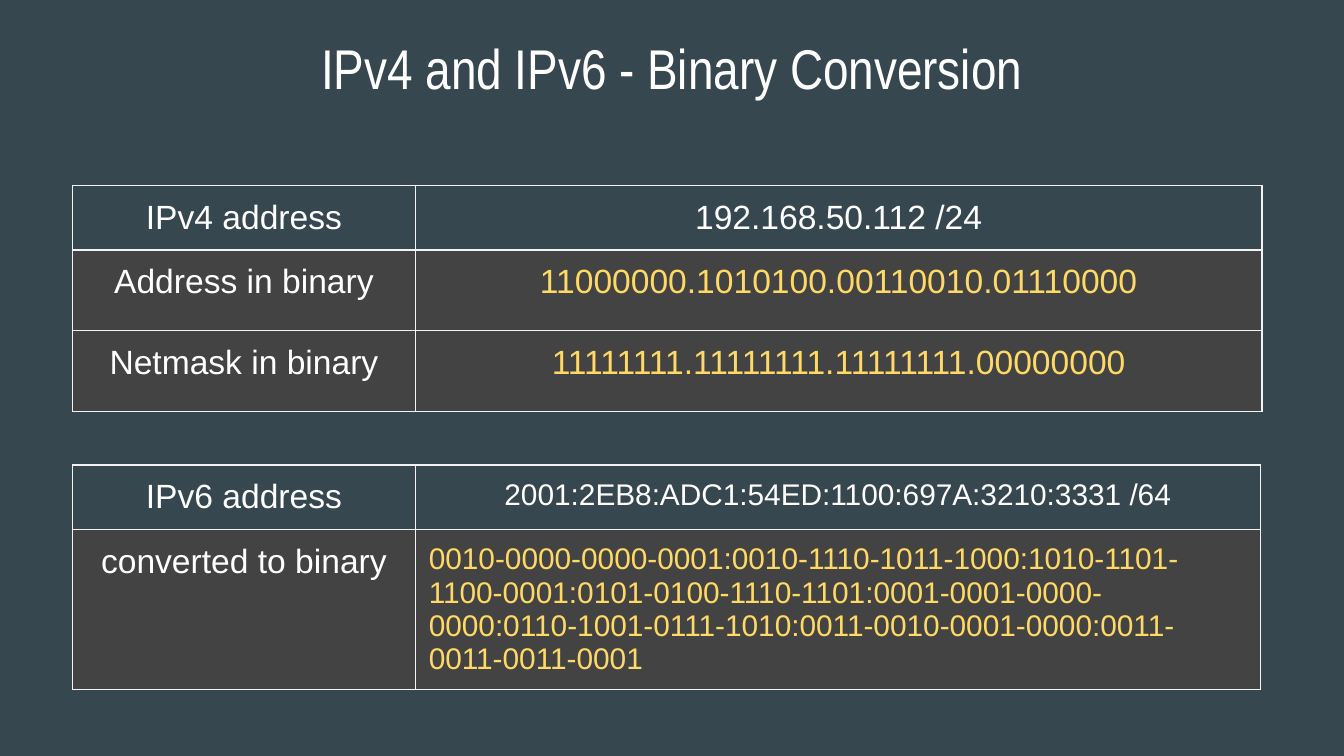
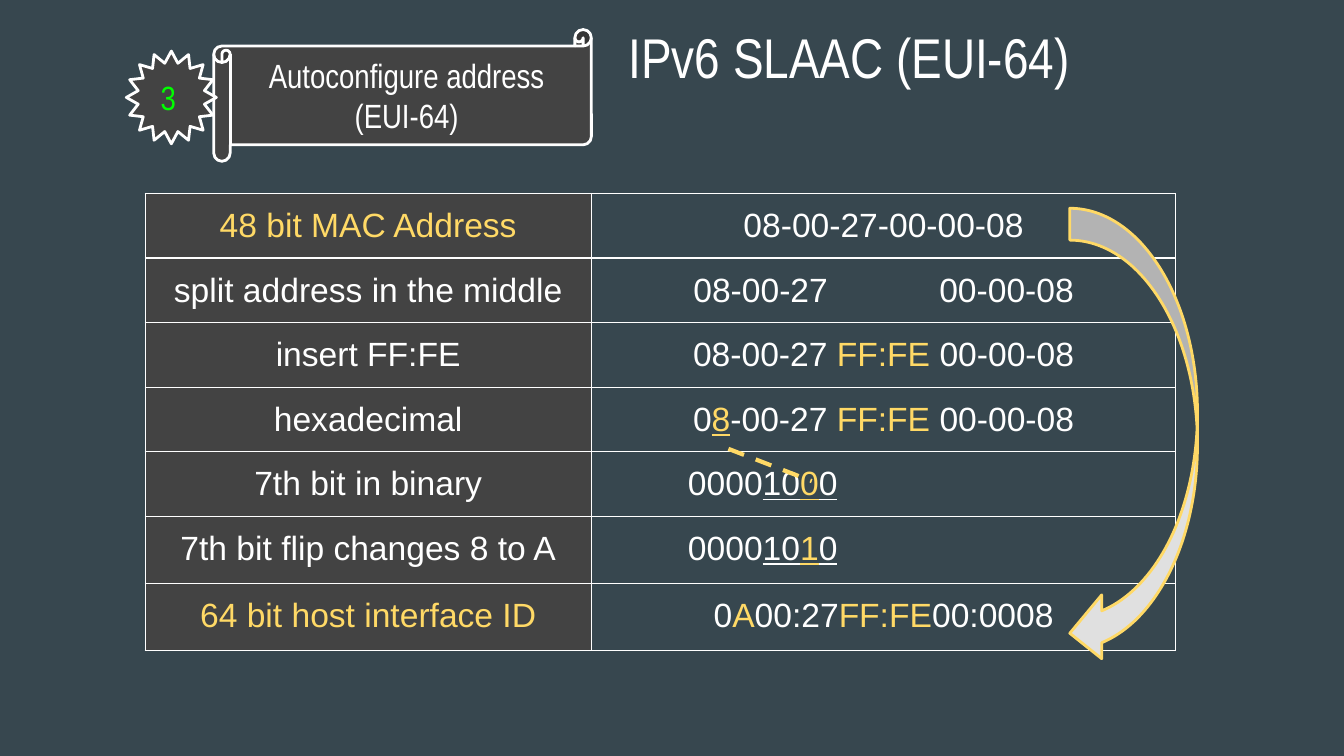
from lxml.etree import SubElement
from pptx import Presentation
from pptx.dml.color import RGBColor
from pptx.enum.dml import MSO_LINE
from pptx.enum.shapes import MSO_CONNECTOR, MSO_SHAPE
from pptx.enum.text import MSO_ANCHOR, PP_ALIGN
from pptx.oxml.ns import qn
from pptx.util import Inches, Pt

SLATE = RGBColor(0x37, 0x47, 0x4F)
DARK = RGBColor(0x43, 0x43, 0x43)
WHITE = RGBColor(0xFF, 0xFF, 0xFF)
PALE = RGBColor(0xF3, 0xF3, 0xF3)
GOLD = RGBColor(0xFF, 0xD9, 0x66)
GREEN = RGBColor(0x00, 0xFF, 0x00)
SILVER = RGBColor(0xE0, 0xE0, 0xE0)
BODY, HEAD = "Arial", "Arial Narrow"
LEFT, MID = PP_ALIGN.LEFT, PP_ALIGN.CENTER
WIDE = Inches(10)
TALL = WIDE * 9 // 16
PAD = 0.1
INSETS = {"margin_" + side: Inches(PAD) for side in ("left", "right", "top", "bottom")}

BITS = {"align": LEFT, "pad": 0.72}
TAIL = [("FF:FE", GOLD), (" 00-00-08", WHITE)]
TABLES = {
    "ipv4": {
        "at": (0.54, 1.38), "line": PALE,
        "cols": [2.55, 1.99, 1.48, 1.42, 1.41], "heights": [0.48, 0.6, 0.6],
        "spans": [(0, 0), (1, 4)],
        "rows": [
            [("IPv4 address", {}), ("192.168.50.112 /24", {})],
            [("Address in binary", {"fill": DARK}),
             ("11000000.1010100.00110010.01110000", {"fill": DARK, "color": GOLD})],
            [("Netmask in binary", {"fill": DARK}),
             ("11111111.11111111.11111111.00000000", {"fill": DARK, "color": GOLD})],
        ],
    },
    "ipv6": {
        "at": (0.54, 3.46), "line": PALE,
        "cols": [2.55, 1.17, 0.52, 0.84, 0.74, 0.86, 0.81, 0.52, 0.83],
        "heights": [0.48, 1.19], "spans": [(0, 0), (1, 8)],
        "rows": [
            [("IPv6 address", {}),
             ("2001:2EB8:ADC1:54ED:1100:697A:3210:3331 /64", {"size": 16})],
            [("converted to binary", {"fill": DARK}),
             ("0010-0000-0000-0001:0010-1110-1011-1000:1010-1101-1100-0001:"
              "0101-0100-1110-1101:0001-0001-0000-0000:0110-1001-0111-1010:"
              "0011-0010-0001-0000:0011-0011-0011-0001",
              {"fill": DARK, "color": GOLD, "size": 16, "align": LEFT})],
        ],
    },
    "steps": {
        "at": (1.08, 1.44), "line": WHITE,
        "cols": [0.94, 0.89, 1.49, 4.35], "heights": [0.48] * 5 + [0.5] * 2,
        "spans": [(0, 2), (3, 3)],
        "rows": [
            [("48 bit MAC Address", {"fill": DARK, "color": GOLD}),
             ("08-00-27-00-00-08", {})],
            [("split address in the middle", {"fill": DARK}),
             ("08-00-27\t00-00-08", {"align": LEFT, "pad": 0.76, "tab": 1.83})],
            [("insert FF:FE", {"fill": DARK}),
             ([("08-00-27 ", WHITE)] + TAIL, {})],
            [("hexadecimal", {"fill": DARK}),
             ([("0", WHITE), ("8", GOLD, True), ("-00-27 ", WHITE)] + TAIL, {})],
            [("7th bit in binary", {"fill": DARK}),
             ([("0000", WHITE), ("10", WHITE, True), ("0", GOLD, True), ("0", WHITE, True)], BITS)],
            [("7th bit flip changes 8 to A", {"fill": DARK}),
             ([("0000", WHITE), ("10", WHITE, True), ("1", GOLD, True), ("0", WHITE, True)], BITS)],
            [("64 bit host interface ID", {"fill": DARK, "color": GOLD}),
             ([("0", WHITE), ("A", GOLD), ("00:27", WHITE), ("FF:FE", GOLD),
               ("00:0008", WHITE)], {})],
        ],
    },
}
SLIDES = [
    ("IPv4 and IPv6 - Binary Conversion", (0.34, 0.15, 9.32, 0.63)),
    ("IPv6 SLAAC (EUI-64)", (4.28, 0.07, 4.08, 0.63)),
]
BADGES = [
    (MSO_SHAPE.HORIZONTAL_SCROLL, (1.59, 0.22, 2.81, 0.98),
     "Autoconfigure address (EUI-64)", WHITE, MID),
    (MSO_SHAPE.STAR_16_POINT, (0.94, 0.38, 0.67, 0.69), "3", GREEN, LEFT),
]


def apply(item, vals):
    for key, val in vals.items():
        setattr(item, key, val)


def write(para, text, color, size=18, face=BODY, align=MID):
    para.alignment = align
    runs = [(text, color)] if isinstance(text, str) else text
    for words, tint, *under in runs:
        run = para.add_run()
        run.text = words
        apply(run.font, {"name": face, "size": Pt(size), "bold": False,
                         "underline": bool(under)})
        run.font.color.rgb = tint


def edge(cell, color):
    props = cell._tc.get_or_add_tcPr()
    for side in ("lnL", "lnR", "lnT", "lnB"):
        line = SubElement(props, qn("a:" + side), w=str(Pt(0.75)))
        fill = SubElement(line, qn("a:solidFill"))
        SubElement(fill, qn("a:srgbClr"), val=str(color))


def paint(item, color):
    if color is None:
        item.fill.background()
    else:
        item.fill.solid()
        item.fill.fore_color.rgb = color


def grid(slide, data):
    cols, tall, rows = data["cols"], data["heights"], data["rows"]
    box = [Inches(n) for n in (*data["at"], sum(cols), sum(tall))]
    table = slide.shapes.add_table(len(rows), len(cols), *box).table
    apply(table, {"first_row": False, "horz_banding": False})
    for col, wide in zip(table.columns, cols):
        col.width = Inches(wide)
    for y, row in enumerate(rows):
        table.rows[y].height = Inches(tall[y])
        for (start, end), (text, look) in zip(data["spans"], row):
            for x in range(start, end + 1):
                cell = table.cell(y, x)
                edge(cell, data["line"])
                paint(cell, look.get("fill"))
            cell = table.cell(y, start)
            if end > start:
                cell.merge(table.cell(y, end))
            apply(cell, INSETS)
            cell.margin_left = Inches(look.get("pad", PAD))
            para = cell.text_frame.paragraphs[0]
            write(para, text, look.get("color", WHITE), look.get("size", 18),
                  align=look.get("align", MID))
            if "tab" in look:
                tabs = SubElement(para._p.get_or_add_pPr(), qn("a:tabLst"))
                SubElement(tabs, qn("a:tab"), pos=str(Inches(look["tab"])), algn="l")


def draw(slide, kind, box, fill, line):
    shape = slide.shapes.add_shape(kind, *[Inches(n) for n in box])
    shape.shadow.inherit = False
    paint(shape, fill)
    shape.line.color.rgb = line
    shape.line.width = Pt(1.5)
    return shape


def page(text, box):
    slide = deck.slides.add_slide(deck.slide_layouts[5])
    title = slide.shapes.title
    apply(title, dict(zip(("left", "top", "width", "height"), map(Inches, box))))
    frame = title.text_frame
    apply(frame, {**INSETS, "word_wrap": True, "vertical_anchor": MSO_ANCHOR.TOP})
    write(frame.paragraphs[0], text, WHITE, 30, HEAD)
    return slide


deck = Presentation()
apply(deck, {"slide_width": WIDE, "slide_height": TALL})
back = deck.slide_master.background.fill
back.solid()
back.fore_color.rgb = SLATE

first, last = [page(*item) for item in SLIDES]
grid(first, TABLES["ipv4"])
grid(first, TABLES["ipv6"])

for kind, box, text, color, align in BADGES:
    frame = draw(last, kind, box, DARK, WHITE).text_frame
    apply(frame, {**INSETS, "word_wrap": True, "vertical_anchor": MSO_ANCHOR.MIDDLE})
    write(frame.paragraphs[0], text, color, face=HEAD, align=align)
grid(last, TABLES["steps"])

ends = [Inches(n) for n in (5.42, 3.34, 6.04, 3.58)]
link = last.shapes.add_connector(MSO_CONNECTOR.STRAIGHT, *ends)
link.line.color.rgb = GOLD
apply(link.line, {"width": Pt(2.25), "dash_style": MSO_LINE.DASH})
SubElement(link._element.spPr, qn("a:effectLst"))
draw(last, MSO_SHAPE.CURVED_LEFT_ARROW, (7.96, 1.55, 0.95, 3.4), SILVER, GOLD)

deck.save("out.pptx")
